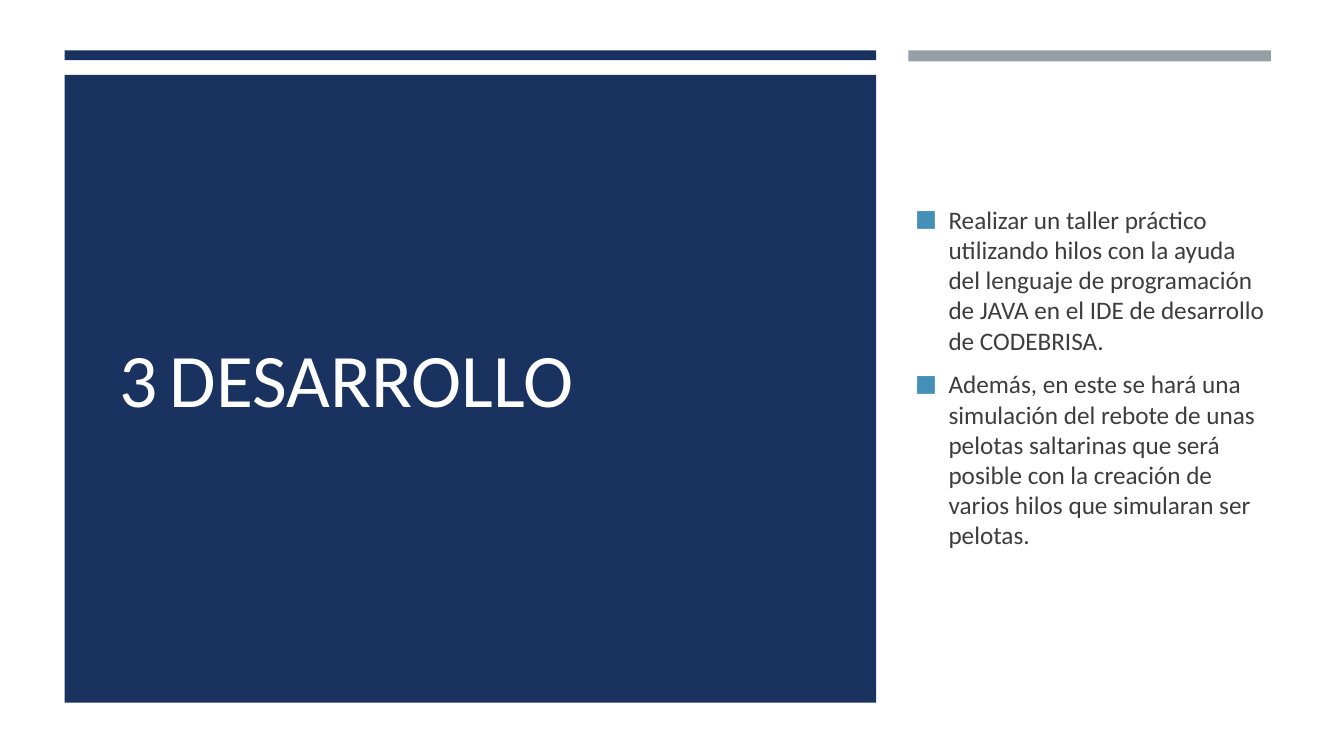
from dataclasses import dataclass

from lxml.etree import SubElement
from pptx import Presentation
from pptx.dml.color import RGBColor
from pptx.enum.shapes import MSO_SHAPE
from pptx.enum.text import MSO_ANCHOR, MSO_AUTO_SIZE, PP_ALIGN
from pptx.oxml.ns import qn
from pptx.shapes.autoshape import Shape
from pptx.slide import Slide
from pptx.text.text import _Paragraph
from pptx.util import Cm, Pt


@dataclass(frozen=True)
class Theme:
    font: str = "Calibri"
    title_size: int = 54
    body_size: int = 18
    white: str = "FFFFFF"
    navy: str = "1A3260"
    gray: str = "969FA7"
    text: str = "3D3D3D"
    bullet: str = "4590B8"


@dataclass(frozen=True)
class Box:
    left: float
    top: float
    width: float
    height: float


@dataclass(frozen=True)
class Panel:
    box: Box
    color: str


THEME = Theme()
SLIDE_BOX = Box(0, 0, 33.87, 19.05)
TITLE_BOX = Box(2.77, 3.2, 18.29, 12.6)
BODY_BOX = Box(22.81, 3.2, 9.45, 12.6)
PANELS = (
    Panel(SLIDE_BOX, THEME.white),
    Panel(Box(1.63, 1.27, 20.45, 0.25), THEME.navy),
    Panel(Box(22.89, 1.27, 9.14, 0.28), THEME.gray),
    Panel(Box(1.63, 1.89, 20.45, 15.82), THEME.navy),
)
TITLE = "3\tDESARROLLO"
POINTS = (
    "Realizar un taller práctico utilizando hilos con la ayuda del lenguaje de "
    "programación de JAVA en el IDE de desarrollo de CODEBRISA.",
    "Además, en este se hará una simulación del rebote de unas pelotas saltarinas "
    "que será posible con la creación de varios hilos que simularan ser pelotas.",
)


def place(shape: Shape, box: Box) -> None:
    shape.left, shape.top = Cm(box.left), Cm(box.top)
    shape.width, shape.height = Cm(box.width), Cm(box.height)


def draw_panel(slide: Slide, panel: Panel) -> None:
    shape = slide.shapes.add_shape(MSO_SHAPE.RECTANGLE, 0, 0, 0, 0)
    place(shape, panel.box)
    shape.fill.solid()
    shape.fill.fore_color.rgb = RGBColor.from_string(panel.color)
    shape.line.fill.background()
    shape.shadow.inherit = False


def fill_placeholder(shape: Shape, box: Box, text: str) -> None:
    place(shape, box)
    frame = shape.text_frame
    frame.text = text
    frame.word_wrap = True
    frame.auto_size = MSO_AUTO_SIZE.NONE
    frame.vertical_anchor = MSO_ANCHOR.MIDDLE


def style_paragraph(paragraph: _Paragraph, size: int, color: str) -> None:
    paragraph.alignment = PP_ALIGN.LEFT
    paragraph.font.name = THEME.font
    paragraph.font.size = Pt(size)
    paragraph.font.color.rgb = RGBColor.from_string(color)


def add_tab_stop(paragraph: _Paragraph, position: float) -> None:
    properties = paragraph._p.get_or_add_pPr()
    tabs = SubElement(properties, qn("a:tabLst"))
    SubElement(tabs, qn("a:tab"), pos=str(Cm(position)), algn="l")


def add_bullet(paragraph: _Paragraph, indent: float) -> None:
    properties = paragraph._p.get_or_add_pPr()
    properties.set("marL", str(Cm(indent)))
    properties.set("indent", str(-Cm(indent)))
    color = SubElement(properties, qn("a:buClr"))
    SubElement(color, qn("a:srgbClr"), val=THEME.bullet)
    SubElement(properties, qn("a:buSzPct"), val="92000")
    SubElement(properties, qn("a:buFont"), typeface=THEME.font)
    SubElement(properties, qn("a:buChar"), char="■")


def main() -> None:
    presentation = Presentation()
    presentation.slide_width = Cm(SLIDE_BOX.width)
    presentation.slide_height = Cm(SLIDE_BOX.height)
    slide = presentation.slides.add_slide(presentation.slide_layouts[1])
    title, body = slide.shapes.title, slide.placeholders[1]

    for panel in PANELS:
        draw_panel(slide, panel)
    for placeholder in (title, body):
        placeholder.element.getparent().append(placeholder.element)

    fill_placeholder(title, TITLE_BOX, TITLE)
    heading = title.text_frame.paragraphs[0]
    add_tab_stop(heading, 1.25)
    style_paragraph(heading, THEME.title_size, THEME.white)

    fill_placeholder(body, BODY_BOX, "\n".join(POINTS))
    for paragraph in body.text_frame.paragraphs:
        add_bullet(paragraph, 0.84)
        paragraph.space_before = Pt(THEME.body_size * 0.2)
        paragraph.space_after = Pt(6)
        style_paragraph(paragraph, THEME.body_size, THEME.text)

    presentation.save("out.pptx")


if __name__ == "__main__":
    main()
